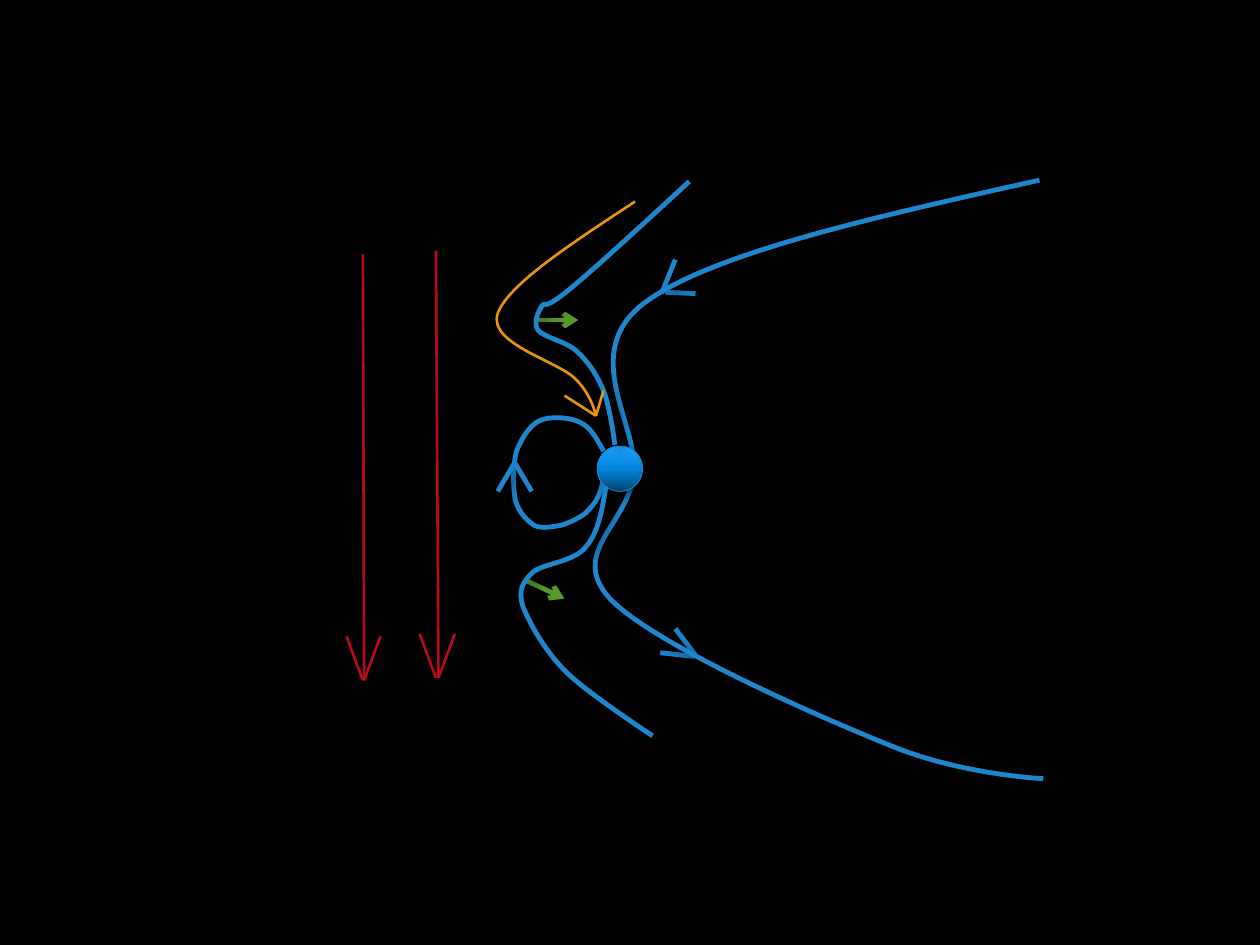
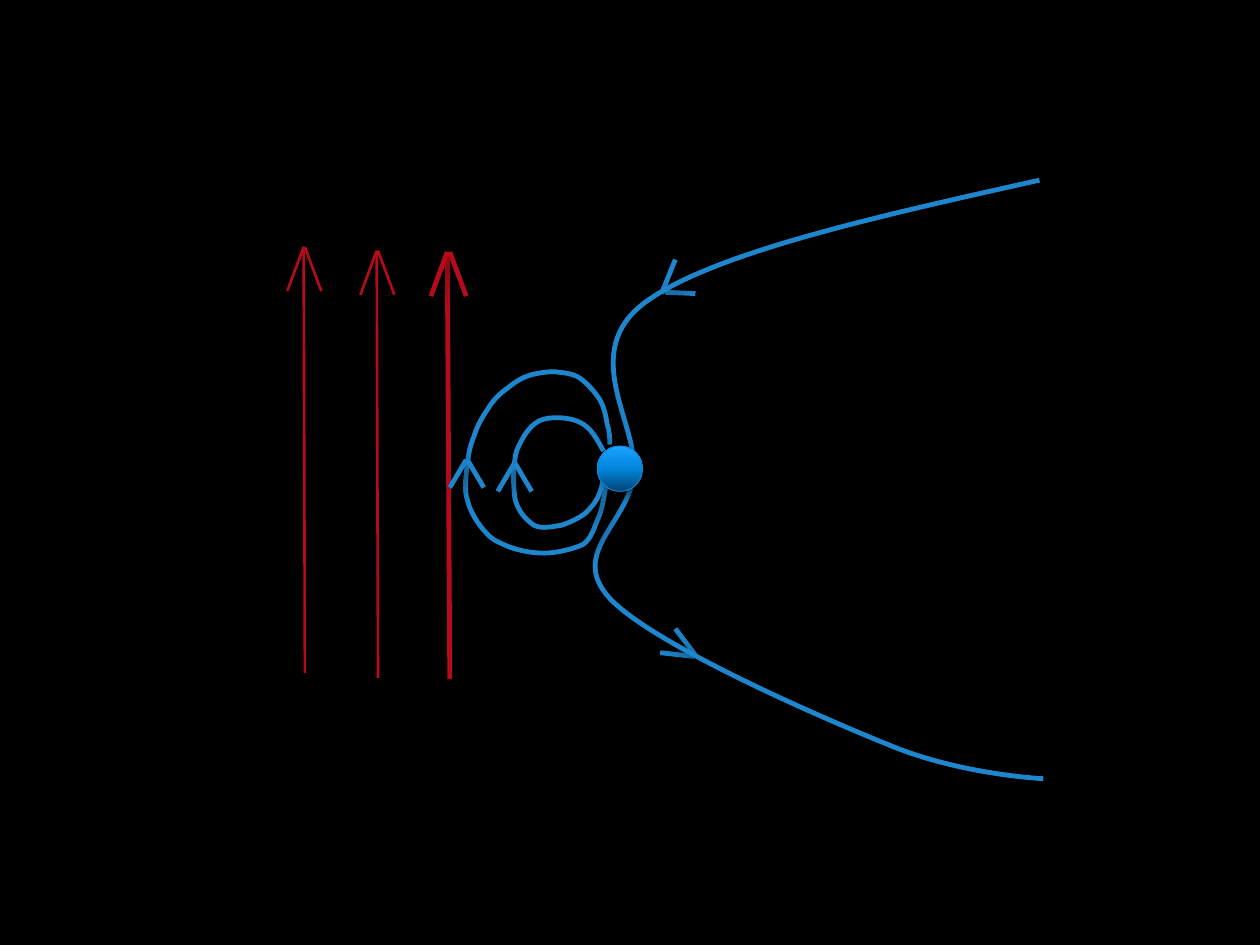
from collections import namedtuple

from lxml import etree
from pptx import Presentation
from pptx.dml.color import RGBColor
from pptx.enum.shapes import MSO_CONNECTOR, MSO_SHAPE
from pptx.oxml import parse_xml
from pptx.oxml.ns import nsdecls, qn
from pptx.util import Pt

STRAIGHT = MSO_CONNECTOR.STRAIGHT
OVAL = MSO_SHAPE.OVAL
PX = 9144  # EMU per px, 100 px to the inch
CURVE_STEPS = 40

# Line styles
Style = namedtuple("Style", "color width shadow arrow", defaults=(False, False))
FIELD = Style("1D86CD", 2.75, shadow=True)
FORCE = Style("55992B", 2.75, shadow=True, arrow=True)
CURRENT = Style("E8950E", 1.5)
WIND = Style("B50B1B", 1.5)
STRONG_WIND = Style("B50B1B", 2.75, shadow=True)
PLANET_EDGE = Style("1884CD", 0.5, shadow=True)
PLANET_STOPS = [(0, "014573"), (50, "0285DD"), (100, "1AA3FF")]
BACKGROUND = "000000"

# Curves: a start point, then three Bezier points for each segment
TAIL_FIELD = [
    (825, 143), (695, 172), (565, 201), (512, 240), (458, 280), (508, 338), (503, 377),
    (498, 416), (451, 439), (484, 475), (518, 511), (648, 568), (705, 591),
    (762, 615), (828, 618), (828, 618)]
INNER_LOOP = [
    (479, 358), (474, 349), (469, 339), (460, 335), (452, 331), (436, 330), (428, 334),
    (420, 338), (414, 348), (410, 358), (407, 369), (407, 387), (409, 397),
    (412, 407), (418, 413), (424, 417), (430, 420), (438, 418), (445, 417),
    (452, 415), (460, 411), (465, 407), (470, 402), (474, 397), (476, 391),
    (479, 384), (480, 370), (480, 370)]
OUTER_LOOP = [
    (484, 353), (484, 348), (484, 343), (482, 337), (481, 331), (480, 324), (476, 317),
    (472, 311), (466, 304), (460, 300), (454, 296), (447, 296), (440, 295),
    (434, 295), (427, 296), (420, 298), (414, 300), (409, 303), (403, 308),
    (397, 312), (391, 318), (387, 325), (382, 332), (378, 340), (376, 347),
    (373, 354), (372, 360), (371, 368), (370, 377), (368, 388), (371, 397),
    (373, 406), (380, 417), (386, 423), (391, 429), (397, 431), (404, 434),
    (412, 437), (422, 439), (432, 439), (441, 439), (455, 436), (463, 432),
    (470, 427), (472, 417), (475, 411), (478, 404), (479, 396), (480, 392),
    (481, 387), (481, 383), (481, 383)]
OPEN_NORTH = [
    (547, 144), (508, 180), (469, 216), (449, 232), (429, 248), (434, 238), (430, 243),
    (427, 248), (423, 256), (427, 262), (432, 268), (450, 271), (458, 279),
    (467, 287), (474, 298), (479, 310), (484, 322), (488, 353), (488, 353)]
OPEN_SOUTH = [
    (481, 386), (478, 404), (475, 423), (465, 434), (456, 446), (432, 447), (423, 454),
    (415, 462), (411, 468), (415, 481), (420, 494), (432, 516), (449, 533),
    (466, 550), (518, 584), (518, 584)]
CURRENT_FLOW = [
    (504, 160), (454, 193), (403, 226), (395, 249), (387, 273), (444, 287), (457, 301),
    (470, 314), (473, 330), (473, 330)]

# Straight strokes: start, end
SOUTH_HEAD = [((551, 521), (524, 518)), ((552, 520), (536, 499))]
NORTH_HEAD = [((525, 233), (536, 206)), ((528, 232), (552, 233))]
CURRENT_HEAD = [((473, 330), (448, 314)), ((473, 330), (479, 310))]
FORCES = [((425, 254), (459, 254)), ((418, 461), (448, 475))]
PLANET = (474, 354, 36)  # left, top, diameter

# Wind arrows: left x, right x, start y, tip y, style
WIND_SOUTHWARD = [(346, 348, 199, 538, WIND), (288, 289, 202, 540, WIND)]
WIND_NORTHWARD = [(355, 357, 539, 200, STRONG_WIND), (299, 300, 538, 199, WIND),
                  (241, 242, 534, 196, WIND)]
WIND_BARB = (13, 35)
# Loop heads: left x, right x, tip y
INNER_HEAD = (408, 409, 368)
OUTER_HEAD = (370, 371, 365)
LOOP_BARB = (13, 22)


def rgb(value):
    return RGBColor.from_string(value)


def apply_style(shape, style):
    """Set the line, arrowhead and shadow of a shape."""
    shape.line.color.rgb = rgb(style.color)
    shape.line.width = Pt(style.width)
    if style.arrow:
        etree.SubElement(shape.line._get_or_add_ln(), qn("a:tailEnd"), type="arrow")
    shadow = ('<a:outerShdw blurRad="88900" dist="50800" dir="2100000" rotWithShape="0">'
              '<a:srgbClr val="000000"><a:alpha val="55000"/></a:srgbClr></a:outerShdw>')
    shape._element.spPr.append(parse_xml(
        f'<a:effectLst {nsdecls("a")}>{shadow if style.shadow else ""}</a:effectLst>'))


def add_strokes(shapes, strokes, style):
    for start, end in strokes:
        ends = [PX * value for value in (*start, *end)]
        apply_style(shapes.add_connector(STRAIGHT, *ends), style)


def bezier_bounds(points):
    """Return left, top, right and bottom of the drawn curve."""
    drawn = []
    for i in range(0, len(points) - 1, 3):
        for step in range(CURVE_STEPS + 1):
            t = step / CURVE_STEPS
            weights = ((1 - t) ** 3, 3 * t * (1 - t) ** 2, 3 * t * t * (1 - t), t ** 3)
            drawn.append([sum(w * p[axis] for w, p in zip(weights, points[i:i + 4]))
                          for axis in (0, 1)])
    xs, ys = zip(*drawn)
    return [round(value) for value in (min(xs), min(ys), max(xs), max(ys))]


def add_curve(shapes, points, style):
    points = [(x * PX, y * PX) for x, y in points]
    builder = shapes.build_freeform(*points[0])
    builder.add_line_segments(points[1:], close=False)
    curve = builder.convert_to_shape()

    # Join each three line points into one Bezier segment
    outline = next(curve._element.iter(qn("a:path")))
    corners = outline.findall(qn("a:lnTo"))
    for i in range(0, len(corners), 3):
        segment = etree.SubElement(outline, qn("a:cubicBezTo"))
        for corner in corners[i:i + 3]:
            segment.append(corner[0])
            outline.remove(corner)

    # Fit the frame to the curve instead of its control points
    left, top, right, bottom = bezier_bounds(points)
    for node, (x, y) in zip(outline.iter(qn("a:pt")), points):
        node.set("x", str(x - left))
        node.set("y", str(y - top))
    curve.left, curve.top = left, top
    curve.width, curve.height = right - left, bottom - top
    outline.set("w", str(right - left))
    outline.set("h", str(bottom - top))
    curve.fill.background()
    apply_style(curve, style)


def barbs(left, right, tip, reach, drop):
    return [((left, tip), (left - reach, tip + drop)),
            ((right, tip), (right + reach, tip + drop))]


def add_group(page, strokes, style):
    add_strokes(page.shapes.add_group_shape().shapes, strokes, style)


def add_loop_head(page, head):
    add_group(page, barbs(*head, *LOOP_BARB), FIELD)


def add_wind(page, left, right, start, tip, style):
    reach, drop = WIND_BARB
    if start < tip:
        shaft, drop = ((left, start), (right, tip)), -drop
    else:
        shaft = ((right, start), (left, tip))
    add_group(page, [shaft] + barbs(left, right, tip, reach, drop), style)


def add_planet(page):
    left, top, size = (PX * value for value in PLANET)
    planet = page.shapes.add_shape(OVAL, left, top, size, size)
    stops = "".join(f'<a:gs pos="{place * 1000}"><a:srgbClr val="{color}"/></a:gs>'
                    for place, color in PLANET_STOPS)
    planet._element.spPr.append(parse_xml(
        f'<a:gradFill {nsdecls("a")} rotWithShape="1"><a:gsLst>{stops}</a:gsLst>'
        '<a:lin ang="16200000" scaled="0"/></a:gradFill>'))
    apply_style(planet, PLANET_EDGE)


def add_page(deck, loops, winds):
    """Add a slide with the planet, its tail field, closed loops and wind."""
    page = deck.slides.add_slide(deck.slide_layouts[6])
    add_group(page, SOUTH_HEAD, FIELD)
    add_strokes(page.shapes, NORTH_HEAD, FIELD)
    for curve in [TAIL_FIELD] + loops:
        add_curve(page.shapes, curve, FIELD)
    add_planet(page)
    for wind in winds:
        add_wind(page, *wind)
    add_loop_head(page, INNER_HEAD)
    return page


def main():
    deck = Presentation()
    deck.slide_width, deck.slide_height = 1000 * PX, 750 * PX
    backdrop = deck.slide_master.background.fill
    backdrop.solid()
    backdrop.fore_color.rgb = rgb(BACKGROUND)

    # Southward wind: opened field lines
    page = add_page(deck, [INNER_LOOP], WIND_SOUTHWARD)
    add_strokes(page.shapes, FORCES, FORCE)
    for curve in (OPEN_NORTH, OPEN_SOUTH):
        add_curve(page.shapes, curve, FIELD)
    add_curve(page.shapes, CURRENT_FLOW, CURRENT)
    add_strokes(page.shapes, CURRENT_HEAD, CURRENT)

    # Northward wind: closed field lines
    page = add_page(deck, [OUTER_LOOP, INNER_LOOP], WIND_NORTHWARD)
    add_loop_head(page, OUTER_HEAD)

    deck.save("out.pptx")


if __name__ == "__main__":
    main()
